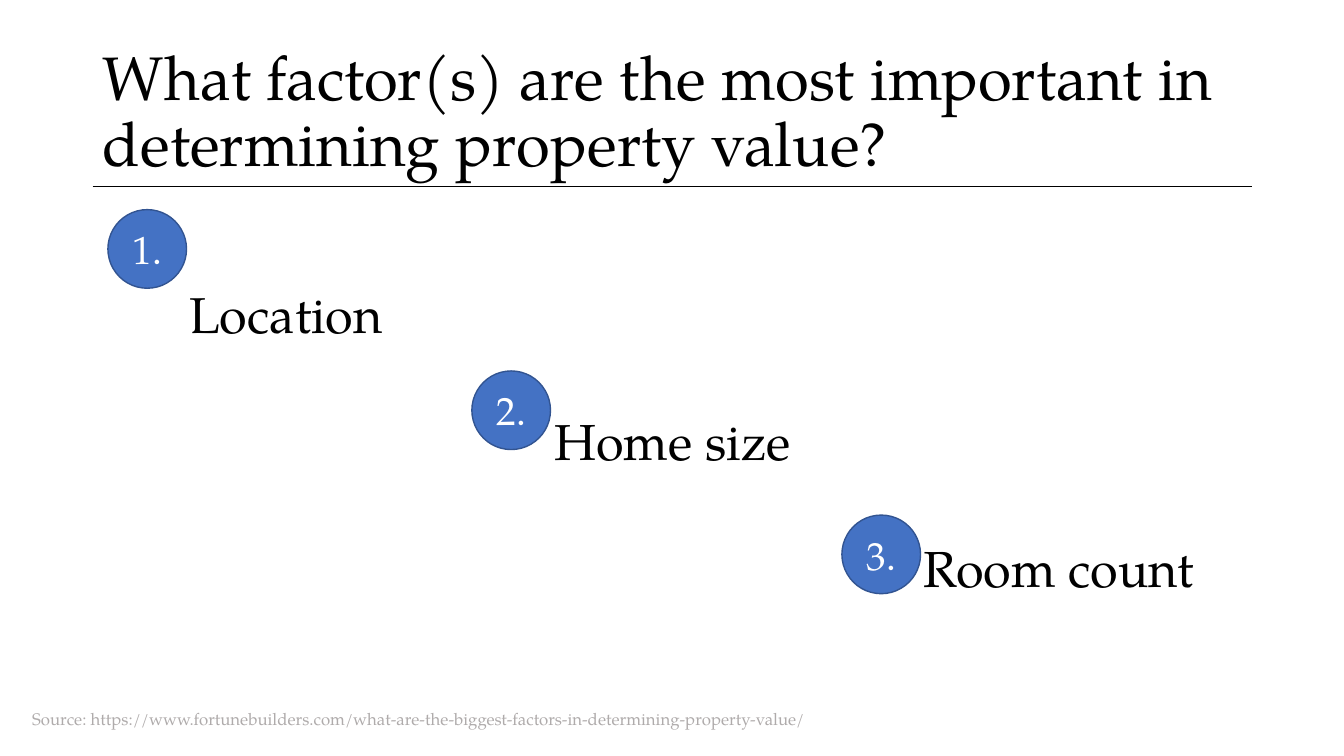
import dataclasses

import lxml.etree
import pptx
import pptx.dml.color
import pptx.enum.shapes
import pptx.enum.text
import pptx.oxml.ns
import pptx.util

EMU_PER_PX = 9144  # 100 px to the inch
ALIGN = pptx.enum.text.PP_ALIGN
ANCHOR = pptx.enum.text.MSO_ANCHOR


@dataclasses.dataclass(frozen=True)
class Theme:
    font: str = "TeX Gyre Pagella"
    ink: str = "000000"
    paper: str = "FFFFFF"
    badge_fill: str = "4472C4"
    badge_line: str = "325491"
    muted: str = "AFABAB"
    title_size: int = 44
    factor_size: int = 36
    badge_size: int = 28
    source_size: int = 12
    rule_width: float = 0.5
    badge_line_width: float = 1


@dataclasses.dataclass(frozen=True)
class Factor:
    name: str
    badge_left: int
    badge_top: int


THEME = Theme()
BADGE_DIAMETER = 78
CELL_MARGIN = 5
STEP_DOWN = 126
TABLE_LEFT, TABLE_TOP, TABLE_WIDTH, TABLE_HEIGHT = 92, 200, 1150, 492
FACTORS = (
    Factor("Location", 107, 208),
    Factor("Home size", 468, 368),
    Factor("Room count", 835, 511),
)


def px(length: int) -> pptx.util.Emu:
    return pptx.util.Emu(length * EMU_PER_PX)


def place(left: int, top: int, width: int, height: int) -> tuple:
    return px(left), px(top), px(width), px(height)


def color(code: str) -> pptx.dml.color.RGBColor:
    return pptx.dml.color.RGBColor.from_string(code)


def write(frame, text: str, size: int, ink: str, align=ALIGN.LEFT):
    """Fill the frame's first paragraph with one run and return the paragraph."""
    para = frame.paragraphs[0]
    para.alignment = align
    span = para.add_run()
    span.text = text
    span.font.name = THEME.font
    span.font.size = pptx.util.Pt(size)
    span.font.color.rgb = color(ink)
    return para


def add_title(page) -> None:
    title = page.shapes.title
    title.left, title.top, title.width, title.height = place(92, 40, 1150, 145)
    frame = title.text_frame
    frame.word_wrap = True
    frame.auto_size = pptx.enum.text.MSO_AUTO_SIZE.NONE
    frame.vertical_anchor = ANCHOR.MIDDLE
    para = write(
        frame,
        "What factor(s) are the most important in determining property value?",
        THEME.title_size,
        THEME.ink,
    )
    para.line_spacing = 0.9


def add_title_rule(page) -> None:
    rule = page.shapes.add_connector(
        pptx.enum.shapes.MSO_CONNECTOR.STRAIGHT, px(92), px(185), px(1242), px(185)
    )
    rule.line.color.rgb = color(THEME.ink)
    rule.line.width = pptx.util.Pt(THEME.rule_width)
    properties = rule._element.spPr
    lxml.etree.SubElement(properties, pptx.oxml.ns.qn("a:effectLst"))


def add_factor_table(page) -> None:
    """Lay the factors out in one row, each name a step lower than the last."""
    table = page.shapes.add_table(
        1, len(FACTORS), *place(TABLE_LEFT, TABLE_TOP, TABLE_WIDTH, TABLE_HEIGHT)
    ).table
    table.first_row = False
    table.horz_banding = False
    middle = len(FACTORS) // 2
    for index, factor in enumerate(FACTORS):
        cell = table.cell(0, index)
        cell.fill.background()
        cell.vertical_anchor = ANCHOR.MIDDLE
        # A margin of twice the step moves centred text by one step.
        shift = 2 * STEP_DOWN * (index - middle)
        cell.margin_top = px(CELL_MARGIN + max(shift, 0))
        cell.margin_bottom = px(CELL_MARGIN + max(-shift, 0))
        write(cell.text_frame, factor.name, THEME.factor_size, THEME.ink, ALIGN.CENTER)


def add_badge(page, number: int, factor: Factor) -> None:
    badge = page.shapes.add_shape(
        pptx.enum.shapes.MSO_SHAPE.OVAL,
        *place(factor.badge_left, factor.badge_top, BADGE_DIAMETER, BADGE_DIAMETER),
    )
    badge.shadow.inherit = False
    badge.fill.solid()
    badge.fill.fore_color.rgb = color(THEME.badge_fill)
    badge.line.color.rgb = color(THEME.badge_line)
    badge.line.width = pptx.util.Pt(THEME.badge_line_width)
    badge.text_frame.vertical_anchor = ANCHOR.MIDDLE
    write(badge.text_frame, f"{number}.", THEME.badge_size, THEME.paper, ALIGN.CENTER)


def add_source(page) -> None:
    box = page.shapes.add_textbox(*place(22, 698, 867, 30))
    box.text_frame.word_wrap = True
    box.text_frame.auto_size = pptx.enum.text.MSO_AUTO_SIZE.SHAPE_TO_FIT_TEXT
    write(
        box.text_frame,
        "Source: https://www.fortunebuilders.com/"
        "what-are-the-biggest-factors-in-determining-property-value/",
        THEME.source_size,
        THEME.muted,
    )


def main() -> None:
    deck = pptx.Presentation()
    deck.slide_width, deck.slide_height = px(1333), px(750)
    page = deck.slides.add_slide(deck.slide_layouts.get_by_name("Title Only"))
    page.background.fill.solid()
    page.background.fill.fore_color.rgb = color(THEME.paper)
    add_title_rule(page)
    add_title(page)
    add_factor_table(page)
    for number, factor in enumerate(FACTORS, start=1):
        add_badge(page, number, factor)
    add_source(page)
    deck.save("out.pptx")


if __name__ == "__main__":
    main()
